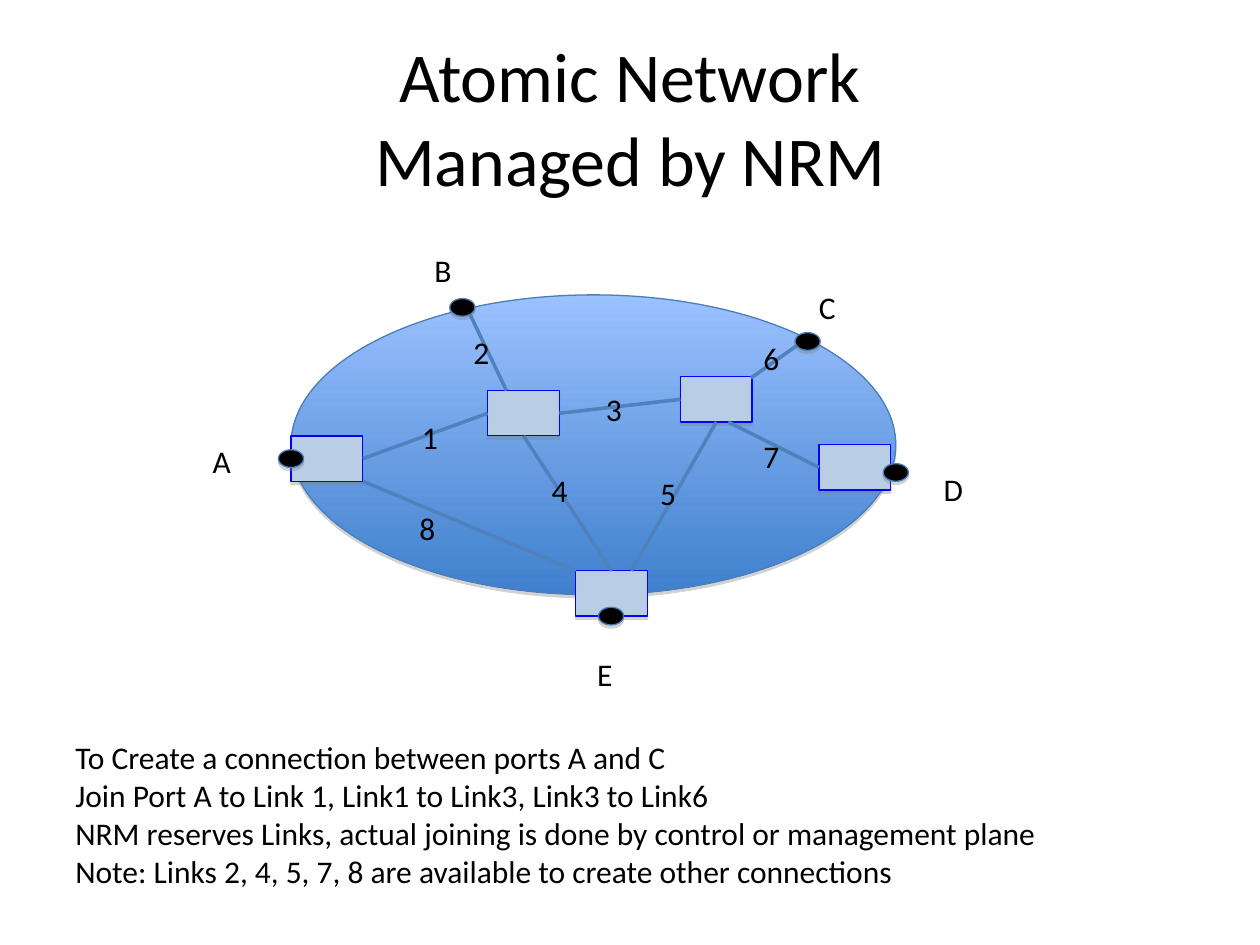
from lxml.etree import SubElement
from pptx import Presentation
from pptx.dml.color import RGBColor
from pptx.enum.shapes import MSO_CONNECTOR, MSO_SHAPE
from pptx.enum.text import MSO_ANCHOR, PP_ALIGN
from pptx.oxml.ns import qn
from pptx.util import Inches, Pt

NODE_W, NODE_H = 0.57, 0.36
PORT_W, PORT_H = 0.2, 0.14
TOP, LEFT, BOTTOM, RIGHT = range(4)

NODES = {
    "A": (0, 1.12),
    "B": (1.56, 0.76),
    "C": (3.09, 0.65),
    "D": (4.19, 1.19),
    "E": (2.26, 2.19),
}
PORTS = [(0, 1.3), (1.36, 0.1), (4.1, 0.37), (4.8, 1.41), (2.54, 2.55)]
LINKS = [
    (("A", RIGHT), ("B", LEFT)),
    ((1.71, 0.76), (1.36, 0.03)),
    (("C", LEFT), ("B", RIGHT)),
    (("E", TOP), ("B", BOTTOM)),
    ((2.7, 2.19), ("C", BOTTOM)),
    ((3.65, 0.66), (4.09, 0.35)),
    ((3.47, 1.01), ("D", LEFT)),
    ((0.57, 1.48), (2.26, 2.19)),
]
LABELS = {
    "A": (-0.72, 1.12),
    "B": (1.04, -0.4),
    "C": (4.09, -0.1),
    "D": (5.08, 1.34),
    "E": (2.33, 2.81),
    "1": (0.94, 0.93),
    "2": (1.35, 0.25),
    "3": (2.4, 0.71),
    "4": (1.97, 1.35),
    "5": (2.83, 1.37),
    "6": (3.65, 0.3),
    "7": (3.65, 1.08),
    "8": (0.92, 1.65),
}
NOTES = [
    "To Create a connection between ports A and C",
    "Join Port A to Link 1, Link1 to Link3, Link3 to Link6",
    "NRM reserves Links, actual joining is done by control or management plane",
    "Note: Links 2, 4, 5, 7, 8 are available to create other connections",
]


def paint(code):
    return RGBColor.from_string(code)


def write(frame, lines, size=18, color="000000", align=PP_ALIGN.LEFT,
          anchor=MSO_ANCHOR.TOP):
    frame.word_wrap = True
    frame.vertical_anchor = anchor
    for i, line in enumerate(lines):
        para = frame.paragraphs[0] if i == 0 else frame.add_paragraph()
        para.text = line
        para.alignment = align
        para.font.name = "Calibri"
        para.font.size = Pt(size)
        para.font.color.rgb = paint(color)


def add_text(slide, box, lines, **style):
    area = slide.shapes.add_textbox(*map(Inches, box))
    write(area.text_frame, lines, **style)


def add_shade(shape):
    shape.shadow.inherit = False
    effects = shape._element.spPr.find(qn("a:effectLst"))
    shade = SubElement(effects, qn("a:outerShdw"), blurRad="0",
                       dist=str(Pt(1.8)), dir="5400000", rotWithShape="0")
    color = SubElement(shade, qn("a:srgbClr"), val="808080")
    SubElement(color, qn("a:alpha"), val="35000")


def add_form(slide, kind, box, fill, line):
    shape = slide.shapes.add_shape(kind, *map(Inches, box))
    if isinstance(fill, tuple):
        shape.fill.gradient()
        shape.fill.gradient_angle = 270
        for stop, code, place in zip(shape.fill.gradient_stops, fill, (0, 1)):
            stop.color.rgb = paint(code)
            stop.position = place
    else:
        shape.fill.solid()
        shape.fill.fore_color.rgb = paint(fill)
    shape.line.color.rgb = paint(line)
    shape.line.width = Pt(0.75)
    add_shade(shape)
    return shape


def add_link(slide, left, top, nodes, ends):
    free = [(0, 0) if end[0] in nodes else (left + end[0], top + end[1])
            for end in ends]
    link = slide.shapes.add_connector(
        MSO_CONNECTOR.STRAIGHT, *map(Inches, free[0] + free[1]))
    for end, join in zip(ends, (link.begin_connect, link.end_connect)):
        if end[0] in nodes:
            join(nodes[end[0]], end[1])
    link.line.color.rgb = paint("4F81BD")
    link.line.width = Pt(2)
    SubElement(link._element.spPr, qn("a:effectLst"))


def add_title(slide, box):
    title = slide.shapes.title
    title.left, title.top, title.width, title.height = map(Inches, box)
    write(title.text_frame, ["Atomic Network\vManaged by NRM"], size=40,
          align=PP_ALIGN.CENTER, anchor=MSO_ANCHOR.MIDDLE)


def add_network(slide, box):
    left, top = box[:2]
    add_form(slide, MSO_SHAPE.OVAL, box, ("9BC1FF", "3F80CD"), "4A7EBB")
    nodes = {
        name: add_form(slide, MSO_SHAPE.RECTANGLE,
                       (left + x, top + y, NODE_W, NODE_H), "B9CDE5", "0000FF")
        for name, (x, y) in NODES.items()
    }
    for ends in LINKS:
        add_link(slide, left, top, nodes, ends)
    for x, y in PORTS:
        spot = (left + x - PORT_W / 2, top + y - PORT_H / 2, PORT_W, PORT_H)
        add_form(slide, MSO_SHAPE.OVAL, spot, "000000", "4A7EBB")
    for name, (x, y) in LABELS.items():
        add_text(slide, (left + x, top + y, 0.43, 0.4), [name])


def main():
    deck = Presentation()
    deck.slide_width, deck.slide_height = Inches(10), Inches(7.5)
    slide = deck.slides.add_slide(deck.slide_layouts[5])
    add_title(slide, (0.5, 0.3, 9, 1.25))
    add_network(slide, (2.31, 2.34, 4.8, 2.38))
    add_text(slide, (0.5, 5.81, 9, 1.3), NOTES)
    deck.save("out.pptx")


if __name__ == "__main__":
    main()
